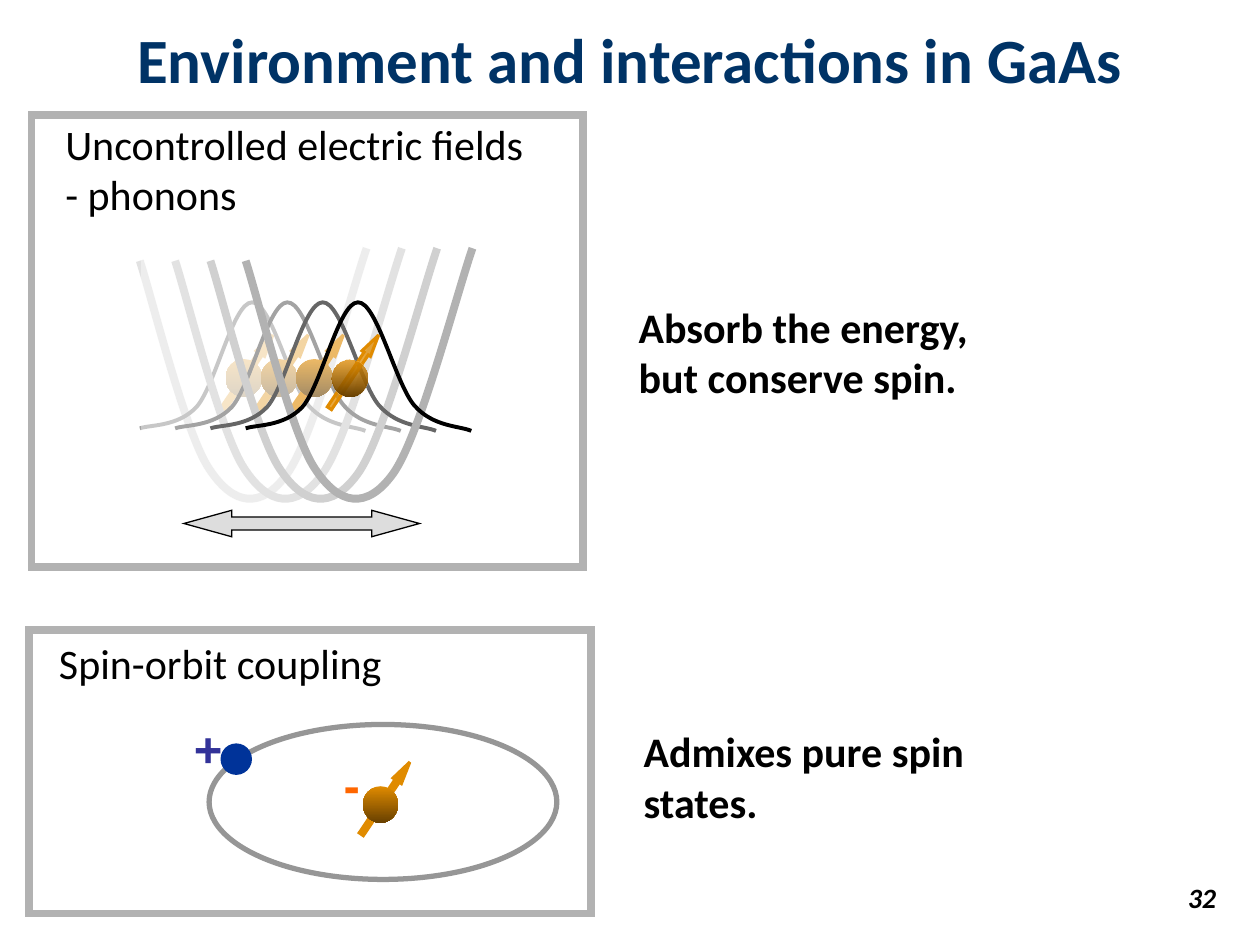
from dataclasses import dataclass
from typing import Optional

from lxml.etree import SubElement
from pptx import Presentation
from pptx.dml.color import RGBColor
from pptx.enum.shapes import MSO_SHAPE
from pptx.enum.text import MSO_ANCHOR, MSO_AUTO_SIZE, PP_ALIGN
from pptx.oxml.ns import qn
from pptx.util import Inches, Pt

GRAY, ORANGE, BROWN, BLACK, WHITE = "B2B2B2", "E08B00", "684000", "000000", "FFFFFF"


@dataclass
class Label:
    text: str
    box: tuple
    size: int = 24
    font: str = "Calibri"
    color: str = BLACK
    bold: bool = False
    italic: bool = False
    align: Optional[PP_ALIGN] = None
    wrap: bool = True


@dataclass
class Curve:
    points: list  # start point, then three Bezier points per segment
    color: str
    width: float


WELL = Curve([(0, 2.07), (.09, 2.34), (.36, 3.44), (.55, 3.72),
              (.74, 4.01), (.96, 4.05), (1.17, 3.76),
              (1.38, 3.47), (1.67, 2.35), (1.8, 1.97)], GRAY, 4.5)
WAVE = Curve([(0, 3.4), (.08, 3.37), (.3, 3.39), (.45, 3.23),
              (.6, 3.06), (.74, 2.4), (.89, 2.4),
              (1.04, 2.39), (1.19, 3.05), (1.34, 3.22),
              (1.49, 3.39), (1.7, 3.38), (1.79, 3.42)], BLACK, 2.25)
WELL_LEFT, WELL_STEP = 1.11, 0.28
VEIL_LEFTS = (1.12, 0.84, 0.77)  # one veil between neighbouring wells

ORBIT_LABELS = [
    Label("+", (1.44, 5.65, .43, .57), 28, "Arial", "333399", True, wrap=False),
    Label("-", (2.63, 5.94, .33, .57), 28, "Arial", "FF6600", True, wrap=False),
    Label("Spin-orbit coupling", (.37, 5.01, 2.76, .5), wrap=False),
]
FIELDS_LABEL = Label("Uncontrolled electric fields\n- phonons", (.42, .89, 4.04, .9))
EFFECT_LABELS = [
    Label("Absorb the energy, but conserve spin.", (4.97, 2.34, 3.09, .9), bold=True),
    Label("Admixes pure spin states.", (5.01, 5.71, 3.69, .9), bold=True),
    Label("32", (9.22, 6.94, .53, .4), 16, bold=True, italic=True, align=PP_ALIGN.RIGHT),
]


def rgb(color: str) -> RGBColor:
    return RGBColor.from_string(color)


def set_alpha(s, percent: int) -> None:
    """Make the first colour of the shape's fill partly transparent."""
    color = s._element.spPr.find(".//" + qn("a:srgbClr"))
    SubElement(color, qn("a:alpha")).set("val", str(percent * 1000))


def set_line(s, color: Optional[str], width: float) -> None:
    if color is None:
        s.line.fill.background()
    else:
        s.line.color.rgb = rgb(color)
        s.line.width = Pt(width)


def add_shape(shapes, kind, box, fill=None, line=None, width=1.0, alpha=100):
    s = shapes.add_shape(kind, *map(Inches, box))
    s.shadow.inherit = False
    if fill is None:
        s.fill.background()
    else:
        s.fill.solid()
        s.fill.fore_color.rgb = rgb(fill)
        if alpha < 100:
            set_alpha(s, alpha)
    set_line(s, line, width)
    if line:  # sharp corners
        SubElement(s._element.spPr.find(qn("a:ln")), qn("a:miter")).set("lim", "800000")
    return s


def write_text(tf, text: str, *, size, font, color, bold=False, italic=False, align=None) -> None:
    for i, line in enumerate(text.split("\n")):
        p = tf.paragraphs[0] if i == 0 else tf.add_paragraph()
        p.alignment = align
        r = p.add_run()
        r.text = line
        r.font.size, r.font.name = Pt(size), font
        r.font.bold, r.font.italic = bold, italic
        r.font.color.rgb = rgb(color)


def add_label(shapes, label: Label) -> None:
    tf = shapes.add_textbox(*map(Inches, label.box)).text_frame
    tf.word_wrap = label.wrap
    write_text(tf, label.text, size=label.size, font=label.font, color=label.color,
               bold=label.bold, italic=label.italic, align=label.align)


def add_curve(shapes, curve: Curve, left: float) -> None:
    start, *rest = [(Inches(left + x), Inches(y)) for x, y in curve.points]
    builder = shapes.build_freeform(*start)
    builder.add_line_segments(rest, close=False)
    s = builder.convert_to_shape()
    # Turn every three straight segments into one Bezier segment
    outline = s._element.spPr.find(".//" + qn("a:path"))
    segments = outline.findall(qn("a:lnTo"))
    for i in range(0, len(segments), 3):
        bezier = SubElement(outline, qn("a:cubicBezTo"))
        for segment in segments[i:i + 3]:
            bezier.append(segment[0])
            outline.remove(segment)
    s.shadow.inherit = False
    s.fill.background()
    set_line(s, curve.color, curve.width)


def add_spin(shapes, left: float, top: float, width: float, head: float, alpha=100) -> None:
    """Electron ball with a tilted spin arrow behind it."""
    arrow = add_shape(shapes, MSO_SHAPE.UP_ARROW, (left + .14, top - .25, .08, width + .41),
                      ORANGE, ORANGE, 1.75, alpha)
    arrow.adjustments[0], arrow.adjustments[1] = .5, head
    arrow.rotation = 33.9
    ball = add_shape(shapes, MSO_SHAPE.OVAL, (left, top, width, width + .01))
    ball.fill.gradient()
    ball.fill.gradient_angle = 270
    for stop, color in zip(ball.fill.gradient_stops, (ORANGE, BROWN)):
        stop.color.rgb = rgb(color)
    if alpha < 100:
        set_alpha(ball, alpha)


def main() -> None:
    prs = Presentation()
    prs.slide_width, prs.slide_height = Inches(10), Inches(7.5)
    slide = prs.slides.add_slide(prs.slide_layouts[5])
    shapes = slide.shapes

    # Title
    title = shapes.title
    title.left, title.top, title.width, title.height = map(Inches, (.27, .16, 9.46, .6))
    tf = title.text_frame
    tf.auto_size = MSO_AUTO_SIZE.NONE
    tf.vertical_anchor = MSO_ANCHOR.MIDDLE
    write_text(tf, "Environment and interactions in GaAs", size=36, font="Calibri",
               color="003366", bold=True, align=PP_ALIGN.CENTER)

    # Spin-orbit coupling: orbit, nucleus and electron
    orbit = shapes.add_group_shape().shapes
    add_shape(orbit, MSO_SHAPE.OVAL, (1.66, 5.75, 2.76, 1.23), line="969696", width=3)
    add_shape(orbit, MSO_SHAPE.OVAL, (1.75, 5.9, .25, .25), "003399")
    for label in ORBIT_LABELS:
        add_label(orbit, label)
    add_spin(orbit, 2.88, 6.24, .28, 2.244)

    # Moving potential well, its past positions fading under the veils
    wells = shapes.add_group_shape().shapes
    last = len(VEIL_LEFTS)
    for i in range(last + 1):
        left = WELL_LEFT + i * WELL_STEP
        add_curve(wells, WELL, left)
        add_curve(wells, WAVE, left)
        add_spin(wells, left + .68, 2.85, .29, 2.218, 75 if i == last else 100)
        if i < last:
            add_shape(wells, MSO_SHAPE.RECTANGLE, (VEIL_LEFTS[i], 1.77, 3.39, 2.28),
                      WHITE, alpha=40)
    add_label(shapes, FIELDS_LABEL)
    swing = add_shape(shapes, MSO_SHAPE.LEFT_RIGHT_ARROW, (1.46, 4.05, 1.87, .21),
                      "DDDDDD", BLACK, .75)
    swing.adjustments[0], swing.adjustments[1] = .5, 1.808

    # Frames, effects and slide number
    for box in ((.23, 5, 4.46, 2.25), (.25, .91, 4.38, 3.59)):
        add_shape(shapes, MSO_SHAPE.RECTANGLE, box, line=GRAY, width=4.5)
    for label in EFFECT_LABELS:
        add_label(shapes, label)

    prs.save("out.pptx")


if __name__ == "__main__":
    main()
